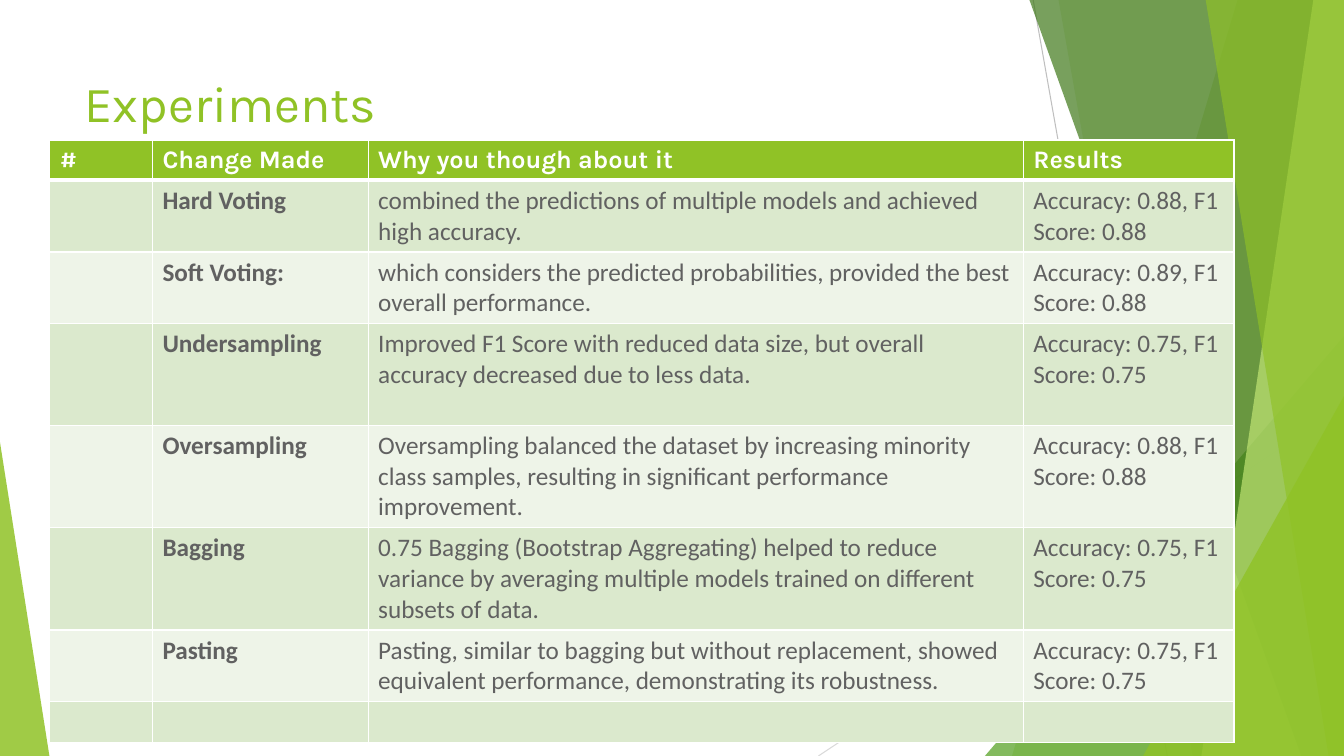
from lxml import etree
from pptx import Presentation
from pptx.dml.color import RGBColor
from pptx.enum import shapes, text
from pptx.oxml.ns import qn
from pptx.util import Pt

WHITE = RGBColor(0xFF, 0xFF, 0xFF)
LIME = RGBColor(0x90, 0xC2, 0x26)
GREEN = RGBColor(0x54, 0xA0, 0x21)
DARK_GREEN = RGBColor(0x3F, 0x78, 0x19)
PALE_LIME = RGBColor(0xC0, 0xE4, 0x74)
BODY_GREY = RGBColor(0x61, 0x61, 0x61)
LINE_GREY = RGBColor(0xBF, 0xBF, 0xBF)
LIGHT_GREY = RGBColor(0xD9, 0xD9, 0xD9)
BANDS = (RGBColor(0xDB, 0xE9, 0xCD), RGBColor(0xEE, 0xF4, 0xE8))

WIDTH, HEIGHT = 960, 540
BLEED = -0.72

COLUMN_WIDTHS = (73.4, 154.1, 468, 150.5)
ROW_HEIGHTS = (28.8, 51.2, 51.2, 72.6, 73.1, 73.1, 51.2, 29.2)
ROWS = (
    ("#", "Change Made", "Why you though about it", "Results"),
    ("", "Hard Voting",
     "combined the predictions of multiple models and achieved high accuracy.",
     "Accuracy: 0.88, F1 Score: 0.88"),
    ("", "Soft Voting:",
     "which considers the predicted probabilities, provided the best overall performance.",
     "Accuracy: 0.89, F1 Score: 0.88"),
    ("", "Undersampling",
     "Improved F1 Score with reduced data size, but overall accuracy decreased due to less data.",
     "Accuracy: 0.75, F1 Score: 0.75"),
    ("", "Oversampling",
     "Oversampling balanced the dataset by increasing minority class samples, "
     "resulting in significant performance improvement.",
     "Accuracy: 0.88, F1 Score: 0.88"),
    ("", "Bagging",
     "0.75 Bagging (Bootstrap Aggregating) helped to reduce variance by averaging "
     "multiple models trained on different subsets of data.",
     "Accuracy: 0.75, F1 Score: 0.75"),
    ("", "Pasting",
     "Pasting, similar to bagging but without replacement, showed equivalent "
     "performance, demonstrating its robustness.",
     "Accuracy: 0.75, F1 Score: 0.75"),
    ("", "", "", ""),
)


def paint(sp, color, opacity):
    """Give a shape a translucent fill (opacity in percent) and no outline."""
    sp.shadow.inherit = False
    sp.line.fill.background()
    sp.fill.solid()
    sp.fill.fore_color.rgb = color
    clr = sp.fill._xPr.find(qn("a:solidFill"))[0]
    etree.SubElement(clr, qn("a:alpha"), val=str(opacity * 1000))


def add_line(slide, x1, y1, x2, y2, color):
    line = slide.shapes.add_connector(
        shapes.MSO_CONNECTOR.STRAIGHT, Pt(x1), Pt(y1), Pt(x2), Pt(y2))
    line.line.color.rgb = color
    line.line.width = Pt(0.75)
    etree.SubElement(line._element.spPr, qn("a:effectLst"))


def add_panel(slide, top_x, bottom_x, color, opacity):
    """Fill the area between a slanted left edge and the slide's right edge."""
    builder = slide.shapes.build_freeform(Pt(top_x), Pt(BLEED))
    builder.add_line_segments([(Pt(WIDTH), Pt(BLEED)), (Pt(WIDTH), Pt(HEIGHT)),
                               (Pt(bottom_x), Pt(HEIGHT))])
    paint(builder.convert_to_shape(), color, opacity)


def add_corner(slide, left, top, width, apex, color, opacity):
    """Add a right triangle on the bottom edge; apex is 0 (left) or 1 (right)."""
    sp = slide.shapes.add_shape(
        shapes.MSO_SHAPE.ISOSCELES_TRIANGLE,
        Pt(left), Pt(top), Pt(width), Pt(HEIGHT - top))
    sp.adjustments[0] = apex
    paint(sp, color, opacity)


def add_backdrop(slide):
    add_line(slide, 738, 0, 833.8, HEIGHT, LINE_GREY)
    add_line(slide, WIDTH, 290, 584.6, HEIGHT, LIGHT_GREY)
    add_panel(slide, 884.2, 722.9, LIME, 30)
    add_panel(slide, 756, 851.8, LIME, 20)
    add_corner(slide, 703.5, 240, 256.5, 1, GREEN, 72)
    add_panel(slide, 735.1, 929.5, DARK_GREEN, 70)
    add_panel(slide, 938.2, 858.2, PALE_LIME, 70)
    add_panel(slide, 861.1, 949, LIME, 65)
    add_corner(slide, 816.5, 283, 143.5, 1, LIME, 80)
    add_corner(slide, 0, 316, 35.3, 0, LIME, 85)


def format_title(slide, title):
    sp = slide.shapes.title
    sp.left, sp.top, sp.width, sp.height = Pt(53.3), Pt(48), Pt(676.8), Pt(104)
    tf = sp.text_frame
    tf.text = title
    tf.vertical_anchor = text.MSO_ANCHOR.TOP
    p = tf.paragraphs[0]
    p.alignment = text.PP_ALIGN.LEFT
    p.font.name, p.font.size = "Karla", Pt(36)
    p.font.color.rgb = LIME
    slide.shapes._spTree.append(sp._element)  # in front of the backdrop


def set_borders(cell, top, bottom):
    tc_pr = cell._tc.get_or_add_tcPr()
    for side, width in (("L", 1), ("R", 1), ("T", top), ("B", bottom)):
        ln = etree.SubElement(tc_pr, qn("a:ln" + side), w=str(Pt(width)))
        fill = etree.SubElement(ln, qn("a:solidFill"))
        etree.SubElement(fill, qn("a:srgbClr"), val=str(WHITE))


def fill_cell(cell, content, row, col):
    header = row == 0
    set_borders(cell, 3 if row == 1 else 1, 3 if header else 1)
    cell.fill.solid()
    cell.fill.fore_color.rgb = LIME if header else BANDS[(row - 1) % 2]
    cell.text = content
    font = cell.text_frame.paragraphs[0].font
    font.name = "Karla" if header else "Calibri"
    font.size = Pt(18)
    font.bold = header or col == 1
    font.color.rgb = WHITE if header else BODY_GREY


def add_experiment_table(slide):
    table = slide.shapes.add_table(
        len(ROWS), len(COLUMN_WIDTHS), Pt(35.5), Pt(100),
        Pt(sum(COLUMN_WIDTHS)), Pt(sum(ROW_HEIGHTS))).table
    for column, width in zip(table.columns, COLUMN_WIDTHS):
        column.width = Pt(width)
    for i, (height, contents) in enumerate(zip(ROW_HEIGHTS, ROWS)):
        table.rows[i].height = Pt(height)
        for j, content in enumerate(contents):
            fill_cell(table.cell(i, j), content, i, j)


def main():
    prs = Presentation()
    prs.slide_width, prs.slide_height = Pt(WIDTH), Pt(HEIGHT)
    slide = prs.slides.add_slide(prs.slide_layouts.get_by_name("Title Only"))
    add_backdrop(slide)
    format_title(slide, "Experiments")
    add_experiment_table(slide)
    prs.save("out.pptx")


if __name__ == "__main__":
    main()
